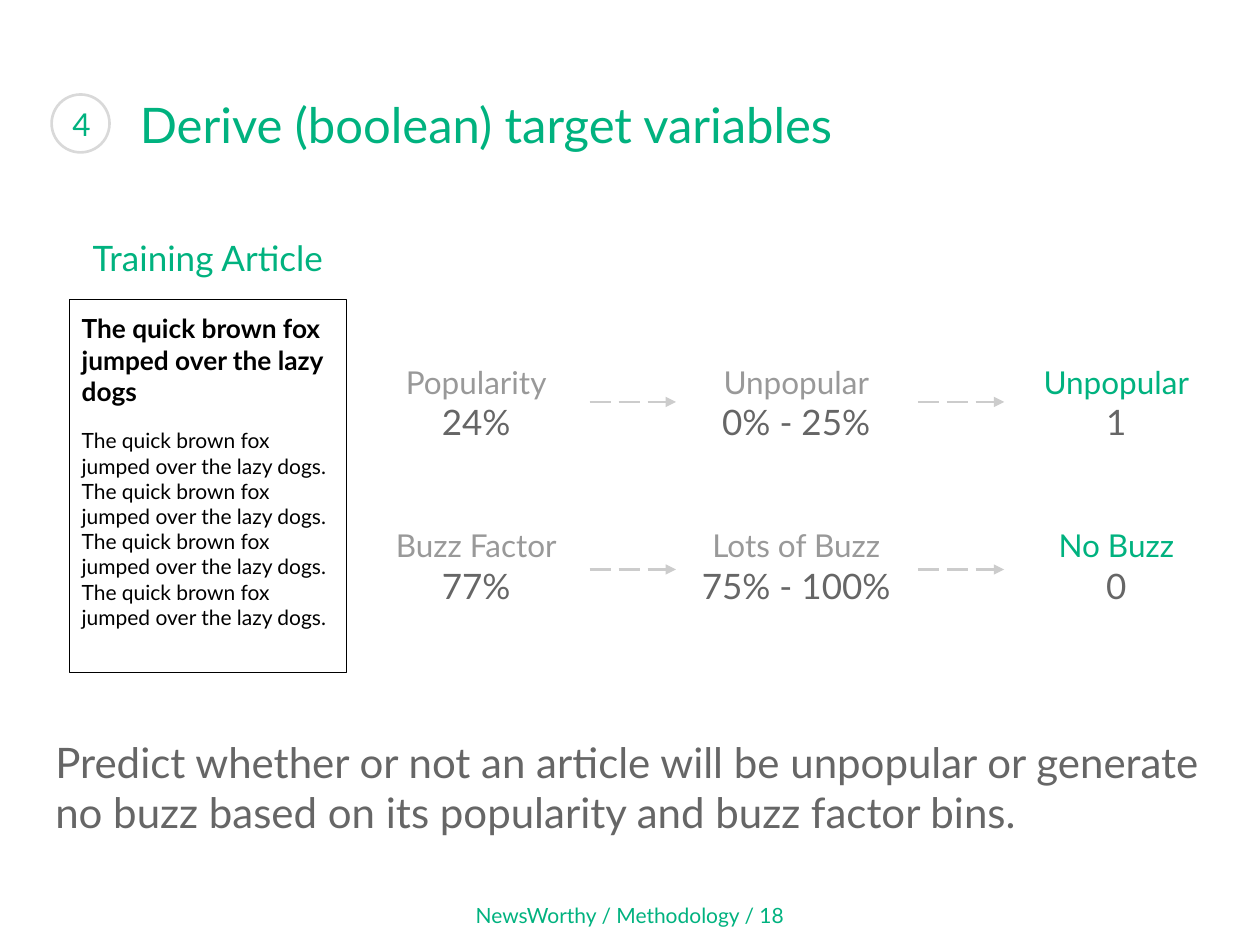
from dataclasses import dataclass

from lxml import etree
from pptx import Presentation
from pptx import util as u
from pptx.dml.color import RGBColor
from pptx.enum import dml, shapes, text
from pptx.oxml.ns import qn


@dataclass(frozen=True)
class Theme:
    font: str = "Lato"
    green: str = "00B27F"
    dark: str = "666666"
    grey: str = "999999"
    pale: str = "CCCCCC"
    ring: str = "D9D9D9"
    black: str = "000000"
    white: str = "FFFFFF"
    title: int = 28
    lead: int = 24
    value: int = 20
    label: int = 18
    head: int = 15
    small: int = 12


T = Theme()
LEFT, MID = text.PP_ALIGN.LEFT, text.PP_ALIGN.CENTER
TOP, CORE = text.MSO_ANCHOR.TOP, text.MSO_ANCHOR.MIDDLE


def rgb(code):
    return RGBColor.from_string(code)


def inch(*sides):
    return [u.Inches(side) for side in sides]


def write(shape, words, size, color, bold=False, align=LEFT, anchor=CORE,
          after=0, more=False):
    """Put one paragraph in a shape; more=True adds it below the last."""
    frame = shape.text_frame
    frame.word_wrap = True
    frame.auto_size = text.MSO_AUTO_SIZE.NONE
    frame.vertical_anchor = anchor
    frame.margin_left = frame.margin_right = u.Inches(0.1)
    frame.margin_top = frame.margin_bottom = u.Inches(0.1)
    para = frame.add_paragraph() if more else frame.paragraphs[0]
    para.alignment = align
    para.space_before, para.space_after = u.Pt(0), u.Pt(after)
    run = para.add_run()
    run.text = words
    run.font.name, run.font.size, run.font.bold = T.font, u.Pt(size), bold
    run.font.color.rgb = rgb(color)


def label(slide, box, words, size, color, **style):
    shape = slide.shapes.add_textbox(*inch(*box))
    write(shape, words, size, color, **style)
    return shape


def outline(slide, kind, box, color, width, fill=None):
    shape = slide.shapes.add_shape(kind, *inch(*box))
    shape.shadow.inherit = False
    if fill:
        shape.fill.solid()
        shape.fill.fore_color.rgb = rgb(fill)
    else:
        shape.fill.background()
    shape.line.color.rgb = rgb(color)
    shape.line.width = u.Pt(width)
    return shape


def arrow(slide, left, right, y):
    line = slide.shapes.add_connector(
        shapes.MSO_CONNECTOR.STRAIGHT, *inch(left, y, right, y))
    line.line.color.rgb = rgb(T.pale)
    line.line.width = u.Pt(1.5)
    line.line.dash_style = dml.MSO_LINE.LONG_DASH
    props = line._element.spPr
    etree.SubElement(props.find(qn("a:ln")), qn("a:tailEnd"), type="triangle")
    etree.SubElement(props, qn("a:effectLst"))


def header(slide, box, step, words):
    """Ringed step number with the title to its right."""
    x, y, wide, high = box
    ring = outline(slide, shapes.MSO_SHAPE.OVAL, (x, y + 0.14, 0.46, 0.46),
                   T.ring, 1.5)
    write(ring, step, T.label, T.green)
    title = slide.shapes.title
    title.left, title.top, title.width, title.height = inch(
        x + 0.6, y, wide - 0.6, high)
    write(title, words, T.title, T.green)


def article(slide, box):
    """Caption above a framed sample article."""
    x, y, wide, high = box
    label(slide, (x, y, wide, 0.49), "Training Article", T.value, T.green,
          align=MID)
    page = outline(slide, shapes.MSO_SHAPE.RECTANGLE,
                   (x, y + 0.58, wide, high - 0.58), T.black, 0.75, T.white)
    line = "The quick brown fox jumped over the lazy dogs"
    write(page, line, T.head, T.black, bold=True, anchor=TOP, after=12)
    write(page, " ".join([line + "."] * 4), T.small, T.black, anchor=TOP,
          more=True)


def flow(slide, box, rows):
    """Rows of name and value pairs, linked by arrows."""
    x, y, wide, high = box
    ends, core, cell = 1.6, 1.73, 0.95
    gap = (wide - 2 * ends - core) / 2
    step = high - cell
    for i, row in enumerate(rows):
        top, left = y + i * step, x
        for j, (name, value) in enumerate(row):
            span = core if j == 1 else ends
            tint = T.green if j == 2 else T.grey
            pair = label(slide, (left, top, span, cell), name, T.label, tint,
                         align=MID)
            write(pair, value, T.value, T.dark, align=MID, more=True)
            left += span + gap
            if j < 2:
                arrow(slide, left - gap + 0.1, left - 0.09,
                      3.19 + i * 1.33)


def main():
    deck = Presentation()
    deck.slide_width, deck.slide_height = inch(10, 7.5)
    slide = deck.slides.add_slide(deck.slide_layouts[5])

    header(slide, (0.41, 0.61, 9.22, 0.74), "4",
           "Derive (boolean) target variables")
    article(slide, (0.55, 1.8, 2.2, 3.54))
    flow(slide, (2.98, 2.72, 6.68, 2.25), [
        [("Popularity", "24%"), ("Unpopular", "0% - 25%"),
         ("Unpopular", "1")],
        [("Buzz Factor", "77%"), ("Lots of Buzz", "75% - 100%"),
         ("No Buzz", "0")],
    ])
    # Conclusion and footer
    label(slide, (0.34, 5.65, 9.32, 1.19),
          "Predict whether or not an article will be unpopular or generate "
          "no buzz based on its popularity and buzz factor bins.",
          T.lead, T.dark)
    label(slide, (2.5, 7.13, 5, 0.27), "NewsWorthy / Methodology / 18",
          T.small, T.green, align=MID)
    deck.save("out.pptx")


if __name__ == "__main__":
    main()
